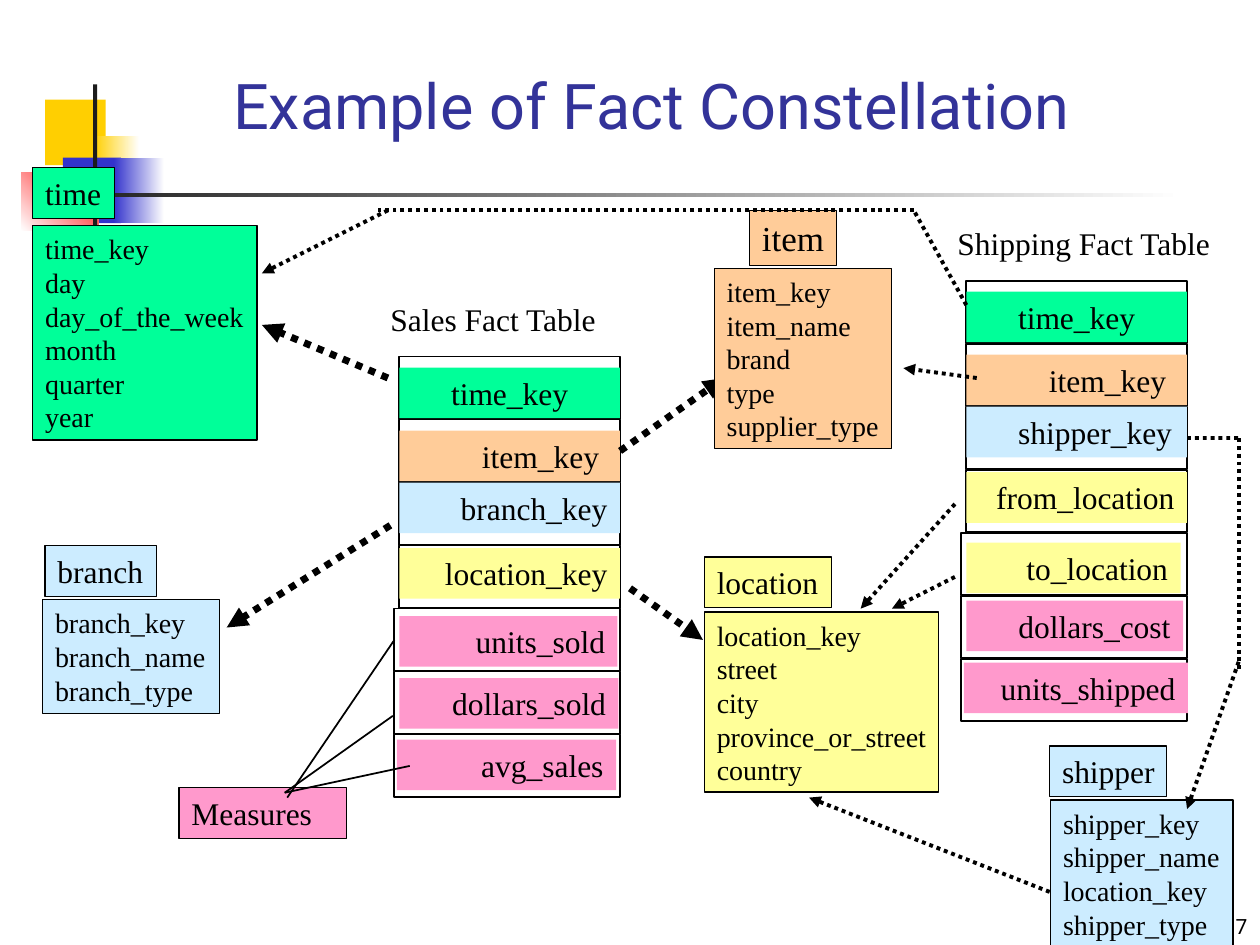
from dataclasses import dataclass
from typing import Optional

from lxml import etree
from pptx import Presentation
from pptx.dml.color import RGBColor
from pptx.enum.dml import MSO_LINE
from pptx.enum.shapes import MSO_CONNECTOR, MSO_SHAPE
from pptx.enum.text import MSO_ANCHOR, PP_ALIGN
from pptx.oxml.ns import qn
from pptx.util import Cm, Pt

RECTANGLE, STRAIGHT, DOTTED = MSO_SHAPE.RECTANGLE, MSO_CONNECTOR.STRAIGHT, MSO_LINE.ROUND_DOT
LEFT, CENTER, RIGHT = PP_ALIGN.LEFT, PP_ALIGN.CENTER, PP_ALIGN.RIGHT
TOP, BOTTOM = MSO_ANCHOR.TOP, MSO_ANCHOR.BOTTOM
LEFT_SIDE, RIGHT_SIDE = 1, 3

COLORS = {
    "black": "000000", "white": "FFFFFF", "title": "333399",
    "green": "00FF99", "orange": "FFCC99", "sky": "CCECFF", "lemon": "FFFF99", "pink": "FF99CC",
    "gold": "FFCF01", "blue": "3333CC", "red": "FF0000", "charcoal": "1C1C1C",
}
SERIF, SANS = "Times New Roman", "Roboto"
ROW_PITCH, FRAME_HEIGHT, LABEL_HEIGHT = 1.27, 1.26, 1.02
INSET = 0.25


@dataclass
class Area:
    left: float
    top: float
    width: float
    height: float = LABEL_HEIGHT


@dataclass
class Decoration:
    area: Area
    start: str
    end: Optional[str] = None
    angle: float = 0


@dataclass
class Dimension:
    color: str
    name: str
    header: Area
    body: Area
    fields: list[str]
    header_size: float = 18


@dataclass
class FactRow:
    name: str
    color: str
    drop: float  # from the top of the frame to the top of the cell
    width: float = 4.45
    shift: float = 0
    right_inset: float = INSET
    align: PP_ALIGN = RIGHT


@dataclass
class FactTable:
    title: str
    title_width: float
    left: float
    top: float
    rows: list[FactRow]


@dataclass
class Link:
    start: tuple[float, float]
    end: tuple[float, float]
    arrow: bool = True
    from_frame: Optional[str] = None
    to_frame: Optional[str] = None


def rgb(name: str) -> RGBColor:
    return RGBColor.from_string(COLORS[name])


def add_rectangle(page, area: Area, fill: Optional[str] = None, line: float = 0):
    box = page.shapes.add_shape(RECTANGLE, Cm(area.left), Cm(area.top), Cm(area.width), Cm(area.height))
    box.shadow.inherit = False
    if fill:
        box.fill.solid()
        box.fill.fore_color.rgb = rgb(fill)
    else:
        box.fill.background()
    if line:
        box.line.color.rgb = rgb("black")
        box.line.width = Pt(line)
    else:
        box.line.fill.background()
    return box


def write(box, lines: list[str], size: float, font: str = SERIF, color: str = "black",
          align: PP_ALIGN = LEFT, anchor: MSO_ANCHOR = TOP, right_inset: float = 0) -> None:
    frame = box.text_frame
    frame.word_wrap = True
    frame.vertical_anchor = anchor
    frame.margin_left, frame.margin_right = Cm(INSET), Cm(right_inset)
    for index, line in enumerate(lines):
        para = frame.paragraphs[0] if index == 0 else frame.add_paragraph()
        para.text = line
        para.alignment = align
        para.font.name, para.font.size = font, Pt(size)
        para.font.color.rgb = rgb(color)


def add_label(page, area: Area, text: str, size: float, **style) -> None:
    box = page.shapes.add_textbox(Cm(area.left), Cm(area.top), Cm(area.width), Cm(area.height))
    write(box, [text], size, **style)


def add_decoration(page, item: Decoration) -> None:
    box = add_rectangle(page, item.area, item.start)
    if item.end:
        box.fill.gradient()
        box.fill.gradient_angle = item.angle
        for stop, color, position in zip(box.fill.gradient_stops, (item.start, item.end), (0, 1)):
            stop.color.rgb = rgb(color)
            stop.position = position


def add_dimension(page, item: Dimension) -> None:
    write(add_rectangle(page, item.body, item.color, 0.75), item.fields, 16)
    write(add_rectangle(page, item.header, item.color, 0.75), [item.name], item.header_size)


def add_fact_table(page, table: FactTable) -> dict:
    """Draw the rows and return their frames by row name."""
    add_label(page, Area(table.left - 0.43, table.top - 1.27, table.title_width), table.title, 18)
    frames = {}
    for index, row in enumerate(table.rows):
        top = table.top + index * ROW_PITCH
        overhang = 0.1 if index >= table.measure_start else 0
        frames[row.name] = add_rectangle(
            page, Area(table.left - overhang, top, 4.45 + overhang, FRAME_HEIGHT), line=1)
        cell = add_rectangle(page, Area(table.left + row.shift, top + row.drop, row.width), row.color)
        write(cell, [row.name], 18, align=row.align, right_inset=row.right_inset)
    return frames


def add_link(page, link: Link, width: float, frames: dict, dotted: bool = True) -> None:
    line = page.shapes.add_connector(STRAIGHT, *(Cm(value) for value in link.start + link.end))
    if link.from_frame:
        line.begin_connect(frames[link.from_frame], RIGHT_SIDE)
    if link.to_frame:
        line.end_connect(frames[link.to_frame], LEFT_SIDE)
    line.line.color.rgb = rgb("black")
    line.line.width = Pt(width)
    if dotted:
        line.line.dash_style = DOTTED
    if dotted and link.arrow:
        etree.SubElement(line.line._get_or_add_ln(), qn("a:tailEnd"), type="triangle")
    etree.SubElement(line._element.spPr, qn("a:effectLst"))


FactTable.measure_start = 4

DECORATIONS = [
    Decoration(Area(0.91, 2.01, 1.22, 1.32), "gold"),
    Decoration(Area(1.9, 2.74, 0.91, 1.32), "gold", "white"),
    Decoration(Area(1.27, 3.18, 1.17, 1.32), "blue"),
    Decoration(Area(2.29, 3.18, 1.02, 1.32), "blue", "white"),
    Decoration(Area(0.43, 3.48, 1.55, 1.17), "white", "red", 45),
    Decoration(Area(1.88, 1.7, 0.08, 2.92), "charcoal"),
    Decoration(Area(0.99, 3.89, 22.86, 0.09), "charcoal", "white"),
]
DIMENSIONS = [
    Dimension("green", "time", Area(0.66, 3.38, 1.65), Area(0.66, 4.55, 4.52, 4.32),
              ["time_key", "day", "day_of_the_week", "month", "quarter", "year"]),
    Dimension("lemon", "location", Area(14.2, 11.23, 2.57), Area(14.2, 12.34, 4.72, 3.63),
              ["location_key", "street", "city", "province_or_street", "country"]),
    Dimension("orange", "item", Area(15.11, 4.24, 1.75, 1.12), Area(14.4, 5.41, 3.58, 3.63),
              ["item_key", "item_name", "brand", "type", "supplier_type"], 20),
    Dimension("sky", "branch", Area(0.91, 11, 2.24), Area(0.86, 12.09, 3.56, 2.29),
              ["branch_key", "branch_name", "branch_type"]),
    Dimension("sky", "shipper", Area(21.16, 15.04, 2.36), Area(21.18, 16.13, 3.68, 2.97),
              ["shipper_key", "shipper_name", "location_key", "shipper_type"]),
]
SHARED_ROWS = [FactRow("time_key", "green", 0.22, align=CENTER),
               FactRow("item_key", "orange", 0.22, right_inset=0.42)]
SALES = FactTable("Sales Fact Table", 4.7, 8.05, 7.19, SHARED_ROWS + [
    FactRow("branch_key", "sky", 0), FactRow("location_key", "lemon", 0.05),
    FactRow("units_sold", "pink", 0.15, 4.4), FactRow("dollars_sold", "pink", 0.13, 4.42),
    FactRow("avg_sales", "pink", 0.1, 4.42, -0.05)])
SHIPPING = FactTable("Shipping Fact Table", 5.66, 19.48, 5.66, SHARED_ROWS + [
    FactRow("shipper_key", "sky", 0, right_inset=0.3), FactRow("from_location", "lemon", 0.05),
    FactRow("to_location", "lemon", 0.2, 4.32), FactRow("dollars_cost", "pink", 0.1, 4.37),
    FactRow("units_shipped", "pink", 0.08, 4.52, -0.05)])
SALES_LINKS = [
    Link((7.87, 10.59), (4.57, 12.65)), Link((7.82, 7.62), (5.28, 6.55)),
    Link((12.7, 11.86), (14.17, 12.9)), Link((12.5, 9.08), (14.6, 7.62), from_frame="item_key"),
]
MEASURE_LINKS = [
    Link((5.79, 16.08), (7.95, 12.9), to_frame="units_sold"),
    Link((5.74, 15.98), (7.92, 14.43)), Link((5.74, 15.98), (8.26, 15.44)),
]
SHIPPING_LINKS = [
    Link((19.48, 6.15), (18.42, 4.24), False), Link((18.42, 4.24), (7.62, 4.24), False),
    Link((7.82, 4.24), (5.28, 5.51)), Link((19.69, 7.62), (18.21, 7.42)),
    Link((19.25, 10.16), (17.35, 12.27)), Link((19.25, 11.63), (17.98, 12.27)),
    Link((23.93, 8.83), (24.97, 8.83), False, from_frame="shipper_key"),
    Link((24.97, 8.83), (24.97, 13.54), False),
    Link((24.97, 13.34), (23.93, 16.31)), Link((21.16, 17.98), (16.31, 16.08)),
]


def main() -> None:
    deck = Presentation()
    deck.slide_width, deck.slide_height = Cm(25.4), Cm(19.05)
    page = deck.slides.add_slide(deck.slide_layouts[6])

    # Corner ornament, page number and title
    for item in DECORATIONS:
        add_decoration(page, item)
    add_label(page, Area(20.12, 17.78, 5.28, 1.27), "17", 12, font=SANS,
              align=RIGHT, anchor=BOTTOM, right_inset=INSET)
    add_label(page, Area(4.45, 1.07, 17.9, 1.93), "Example of Fact Constellation", 36,
              font=SANS, color="title", anchor=BOTTOM)

    # Sales facts with their measures and links
    frames = add_fact_table(page, SALES)
    write(add_rectangle(page, Area(3.61, 15.88, 3.38), "pink", 0.75), ["Measures"], 18)
    for link in MEASURE_LINKS:
        add_link(page, link, 1, frames, dotted=False)
    for link in SALES_LINKS:
        add_link(page, link, 4, frames)

    # Dimensions, then shipping facts with their links
    for item in DIMENSIONS:
        add_dimension(page, item)
    frames = add_fact_table(page, SHIPPING)
    for link in SHIPPING_LINKS:
        add_link(page, link, 2.25, frames)

    deck.save("out.pptx")


if __name__ == "__main__":
    main()
